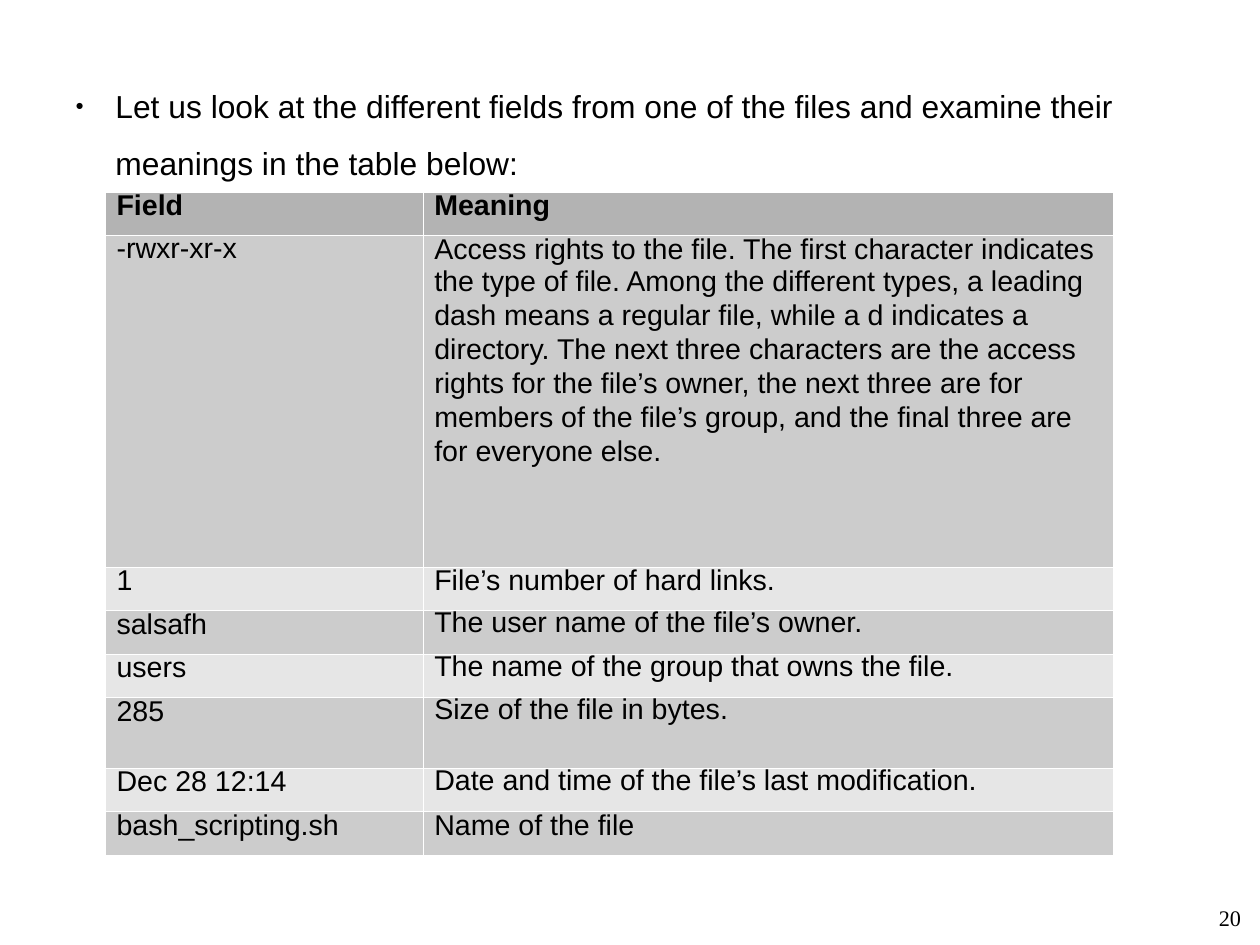
from lxml.etree import SubElement
from pptx import Presentation
from pptx.dml.color import RGBColor
from pptx.enum.text import MSO_ANCHOR as Anchor, MSO_AUTO_SIZE as AutoSize, PP_ALIGN as Align
from pptx.oxml.ns import qn
from pptx.util import Inches, Pt

BLACK = RGBColor(0x00, 0x00, 0x00)
WHITE = RGBColor(0xFF, 0xFF, 0xFF)
HEADER_GRAY = RGBColor(0xB3, 0xB3, 0xB3)
DARK_BAND = RGBColor(0xCC, 0xCC, 0xCC)
LIGHT_BAND = RGBColor(0xE6, 0xE6, 0xE6)

UNITS_PER_INCH = 576
PAGE_WIDTH, PAGE_HEIGHT = 6350 / UNITS_PER_INCH, 4762 / UNITS_PER_INCH

TIGHT, TIGHTER, LOOSE = 0.71, 0.66, 1.06
BORDER_WIDTH = Pt(0.06)
COLUMN_WIDTHS = [2.78, 6.04]
ROW_HEIGHTS = [0.38, 2.9, 0.38, 0.38, 0.38, 0.62, 0.38, 0.38]

INTRO = ("Let us look at the different fields from one of the files "
         "and examine their meanings in the table below:")
ACCESS_RIGHTS = [
    "Access rights to the file. The first character indicates",
    "the type of file. Among the different types, a leading",
    "dash means a regular file, while a d indicates a",
    "directory. The next three characters are the access",
    "rights for the file’s owner, the next three are for members of the "
    "file’s group, and the final three are for everyone else.",
]
# Each row: field, its line spacing, meaning paragraphs, first line spacing
FIELDS = [
    ("Field", TIGHT, ["Meaning"], TIGHT),
    ("-rwxr-xr-x", TIGHTER, ACCESS_RIGHTS, TIGHT),
    ("1", TIGHT, ["File’s number of hard links."], TIGHT),
    ("salsafh", TIGHT, ["The user name of the file’s owner."], TIGHTER),
    ("users", TIGHT, ["The name of the group that owns the file."], TIGHTER),
    ("285", TIGHT, ["Size of the file in bytes."], TIGHTER),
    ("Dec 28 12:14", TIGHT, ["Date and time of the file’s last modification."], TIGHTER),
    ("bash_scripting.sh", TIGHT, ["Name of the file"], TIGHT),
]


class SlideBuilder:
    def __init__(self, page, font_name="Arial"):
        self.page = page
        self.font_name = font_name

    def style(self, para, size, spacing, bold=False, font_name=None):
        para.line_spacing = spacing
        para.space_before = Pt(0)
        para.font.name = font_name or self.font_name
        para.font.size = Pt(size)
        para.font.bold = bold
        para.font.color.rgb = BLACK

    def frame(self, box):
        """Prepare the box's text frame: wrapped, top-anchored, no margins."""
        frame = box.text_frame
        frame.word_wrap = True
        frame.auto_size = AutoSize.NONE
        frame.vertical_anchor = Anchor.TOP
        frame.margin_left = frame.margin_right = 0
        frame.margin_top = frame.margin_bottom = 0
        return frame

    def body(self, text, left, top, width, height):
        box = self.page.placeholders[1]
        box.left, box.top = Inches(left), Inches(top)
        box.width, box.height = Inches(width), Inches(height)
        box.fill.solid()
        box.fill.fore_color.rgb = WHITE
        color = box.element.spPr.find(qn("a:solidFill")).find(qn("a:srgbClr"))
        SubElement(color, qn("a:alpha"), val="50000")
        para = self.frame(box).paragraphs[0]
        para.text = text
        self.bullet(para)
        para.space_after = Pt(14.3)
        self.style(para, 20, 1.5)

    def bullet(self, para):
        props = para._p.get_or_add_pPr()
        props.set("marL", str(Inches(0.46)))
        props.set("indent", str(Inches(-0.35)))
        color = SubElement(props, qn("a:buClr"))
        SubElement(color, qn("a:srgbClr"), val=str(BLACK))
        SubElement(props, qn("a:buSzPct"), val="45000")
        SubElement(props, qn("a:buFont"), typeface=self.font_name)
        SubElement(props, qn("a:buChar"), char="●")

    def table(self, rows, left, top):
        table = self.page.shapes.add_table(
            len(rows), len(COLUMN_WIDTHS), Inches(left), Inches(top),
            Inches(sum(COLUMN_WIDTHS)), Inches(sum(ROW_HEIGHTS))).table
        table.first_row = table.horz_banding = False
        for column, width in zip(table.columns, COLUMN_WIDTHS):
            column.width = Inches(width)
        for index, (field, field_spacing, meaning, meaning_spacing) in enumerate(rows):
            table.rows[index].height = Inches(ROW_HEIGHTS[index])
            header = index == 0
            fill = HEADER_GRAY if header else DARK_BAND if index % 2 else LIGHT_BAND
            self.cell(table.cell(index, 0), [field], field_spacing, fill, header)
            self.cell(table.cell(index, 1), meaning, meaning_spacing, fill, header)

    def cell(self, cell, lines, first_spacing, fill, bold):
        self.borders(cell)
        cell.fill.solid()
        cell.fill.fore_color.rgb = fill
        cell.text = "\n".join(lines)
        for number, para in enumerate(cell.text_frame.paragraphs):
            self.style(para, 18, LOOSE if number else first_spacing, bold)

    def borders(self, cell):
        props = cell._tc.get_or_add_tcPr()
        for side in ("lnL", "lnR", "lnT", "lnB"):
            line = SubElement(props, qn(f"a:{side}"), w=str(BORDER_WIDTH))
            paint = SubElement(line, qn("a:solidFill"))
            SubElement(paint, qn("a:srgbClr"), val=str(WHITE))

    def page_number(self, text, left, top, width, height):
        box = self.page.shapes.add_textbox(
            Inches(left), Inches(top), Inches(width), Inches(height))
        para = self.frame(box).paragraphs[0]
        para.text = text
        para.alignment = Align.RIGHT
        self.style(para, 14, 0.93, font_name="Times New Roman")


def main():
    deck = Presentation()
    deck.slide_width, deck.slide_height = Inches(PAGE_WIDTH), Inches(PAGE_HEIGHT)
    page = deck.slides.add_slide(deck.slide_layouts[1])
    title = page.shapes.title.element
    title.getparent().remove(title)

    builder = SlideBuilder(page)
    builder.body(INTRO, 0.55, 0.59, 9.92, 7.31)
    builder.table(FIELDS, 0.92, 1.68)
    builder.page_number("20", 8.3, 7.93, 2.56, 0.56)
    deck.save("out.pptx")


if __name__ == "__main__":
    main()
